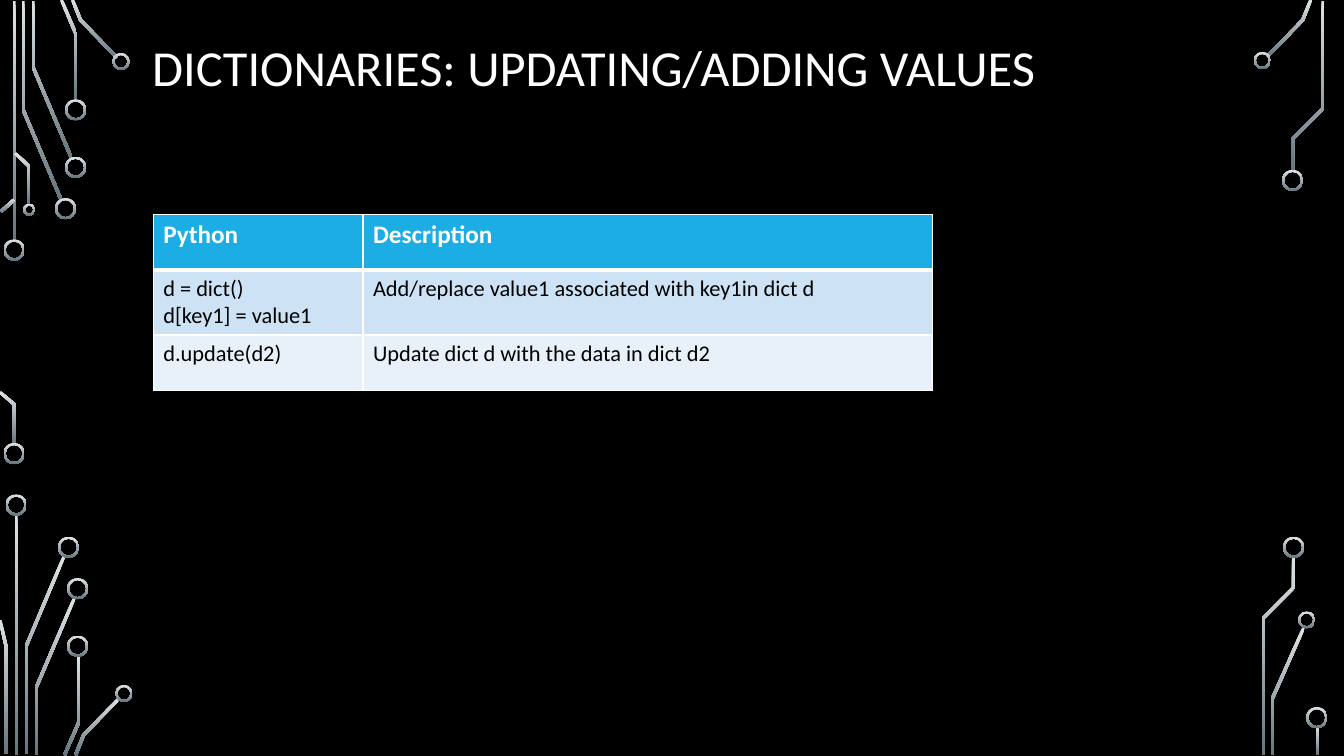
from math import hypot

from pptx import Presentation
from pptx.dml.color import RGBColor
from pptx.enum.shapes import MSO_SHAPE as Preset
from pptx.enum.text import MSO_ANCHOR as Anchor, PP_ALIGN as Align
from pptx.oxml import parse_xml
from pptx.oxml.ns import nsdecls
from pptx.util import Inches, Pt

HEADING = "DICTIONARIES: UPDATING/ADDING VALUES"
HEADING_BOX = (1.41, -0.11, 10.83, 1.62)

METHODS = [
    ("Python", "Description"),
    ("d = dict()\nd[key1] = value1", "Add/replace value1 associated with key1in dict d"),
    ("d.update(d2)", "Update dict d with the data in dict d2"),
]
METHODS_CORNER = (1.52, 2.13)
COLUMN_WIDTHS = (2.08, 5.65)
ROW_HEIGHTS = (0.55, 0.63, 0.55)

TRACE_WIDTH = 0.03
TRACES = [
    [(0.14, 0.01), (0.14, 2.4)],
    [(0.23, 0.01), (0.23, 1.09), (0.61, 1.99)],
    [(0.33, 0.01), (0.33, 0.67), (0.71, 1.57)],
    [(0.61, 0), (0.75, 0.33), (0.75, 1)],
    [(0.72, 0), (0.8, 0.2), (1.16, 0.57)],
    [(0.14, 1.98), (0.01, 2.1)],
    [(0, 3.89), (0.14, 4.01), (0.14, 4.41)],
    [(0.15, 1.52), (0.29, 1.65), (0.29, 2.03)],
    [(0.16, 5.1), (0.16, 7.49)],
    [(0.26, 7.48), (0.26, 6.41), (0.64, 5.51)],
    [(0.06, 7.48), (0.06, 6.41), (0, 6.15)],
    [(0.36, 7.49), (0.36, 6.82), (0.74, 5.93)],
    [(0.64, 7.49), (0.78, 7.17), (0.78, 6.5)],
    [(0.75, 7.49), (0.83, 7.29), (1.18, 6.93)],
    [(12.57, 0.56), (12.92, 0.2), (13, 0)],
    [(13.12, 0.01), (13.12, 1.08), (12.82, 1.38), (12.82, 1.69)],
    [(12.62, 7.49), (12.62, 6.93), (12.93, 6.23)],
    [(12.53, 7.49), (12.53, 6.13), (12.83, 5.83), (12.83, 5.52)],
    [(13.07, 7.21), (13.07, 7.49)],
]
RING_THICKNESS = 0.02
RINGS = {
    0.21: [
        (0.14, 2.48), (0.14, 4.5), (0.65, 2.07), (0.75, 1.66), (0.75, 1.09),
        (0.16, 5.01), (0.68, 5.43), (0.77, 5.84), (0.77, 6.41),
        (12.82, 1.79), (12.83, 5.43), (13.06, 7.12),
    ],
    0.17: [(1.2, 0.61), (1.23, 6.88), (12.52, 0.6), (12.96, 6.15)],
    0.12: [(0.29, 2.08)],
}

THEME = {
    "background": "000000",
    "trace": ("DFE3E5", "65757D"),
    "border": "FFFFFF",
    "rows": ("1CADE4", "CDE3F5", "E8F1FA"),
    "heading": {"name": "Calibri", "size": Pt(36), "bold": False, "color": "FFFFFF"},
    "header": {"name": "Calibri", "size": Pt(18), "bold": True, "color": "FFFFFF"},
    "body": {"name": "Calibri", "size": Pt(16), "bold": False, "color": "000000"},
}


def set_font(paragraph, style):
    for key, value in style.items():
        if key == "color":
            paragraph.font.color.rgb = RGBColor.from_string(value)
        else:
            setattr(paragraph.font, key, value)


def paint_circuit(part):
    part.shadow.inherit = False
    part.line.fill.background()
    part.fill.gradient()
    part.fill.gradient_angle = 270
    for stop, color in zip(part.fill.gradient_stops, THEME["trace"]):
        stop.color.rgb = RGBColor.from_string(color)


def trace_outline(points):
    normals = []
    for (x1, y1), (x2, y2) in zip(points, points[1:]):
        length = hypot(x2 - x1, y2 - y1)
        normals.append(((y1 - y2) / length, (x2 - x1) / length))
    near, far = [], []
    joints = zip(points, normals[:1] + normals, normals + normals[-1:])
    for (x, y), (ax, ay), (bx, by) in joints:
        reach = TRACE_WIDTH / 2 / (1 + ax * bx + ay * by)
        dx, dy = (ax + bx) * reach, (ay + by) * reach
        near.append((Inches(x + dx), Inches(y + dy)))
        far.append((Inches(x - dx), Inches(y - dy)))
    return near + far[::-1]


def add_circuit(slide):
    for points in TRACES:
        outline = trace_outline(points)
        builder = slide.shapes.build_freeform(*outline[0])
        builder.add_line_segments(outline[1:], close=True)
        paint_circuit(builder.convert_to_shape())
    for size, centers in RINGS.items():
        for x, y in centers:
            box = (x - size / 2, y - size / 2, size, size)
            ring = slide.shapes.add_shape(Preset.DONUT, *map(Inches, box))
            ring.adjustments[0] = RING_THICKNESS / size
            paint_circuit(ring)


def add_heading(slide):
    heading = slide.shapes.title
    for side, value in zip(("left", "top", "width", "height"), HEADING_BOX):
        setattr(heading, side, Inches(value))
    heading.text_frame.text = HEADING
    heading.text_frame.vertical_anchor = Anchor.MIDDLE
    paragraph = heading.text_frame.paragraphs[0]
    for key, value in {"alignment": Align.LEFT, "line_spacing": 0.9}.items():
        setattr(paragraph, key, value)
    set_font(paragraph, THEME["heading"])


def add_borders(cell, row):
    widths = {"L": 1, "R": 1, "T": 3 if row == 1 else 1, "B": 3 if row == 0 else 1}
    for index, (side, width) in enumerate(widths.items()):
        border = parse_xml(
            f'<a:ln{side} {nsdecls("a")} w="{Pt(width)}"><a:solidFill>'
            f'<a:srgbClr val="{THEME["border"]}"/></a:solidFill></a:ln{side}>'
        )
        cell._tc.get_or_add_tcPr().insert(index, border)


def add_methods(slide):
    box = (*METHODS_CORNER, sum(COLUMN_WIDTHS), sum(ROW_HEIGHTS))
    methods = slide.shapes.add_table(
        len(METHODS), len(COLUMN_WIDTHS), *map(Inches, box)
    ).table
    for column, width in zip(methods.columns, COLUMN_WIDTHS):
        column.width = Inches(width)
    for row, (entries, height) in enumerate(zip(METHODS, ROW_HEIGHTS)):
        methods.rows[row].height = Inches(height)
        for column, entry in enumerate(entries):
            cell = methods.cell(row, column)
            cell.text = entry
            cell.fill.solid()
            cell.fill.fore_color.rgb = RGBColor.from_string(THEME["rows"][row])
            add_borders(cell, row)
            for paragraph in cell.text_frame.paragraphs:
                set_font(paragraph, THEME["body" if row else "header"])


def main():
    deck = Presentation()
    deck.slide_width, deck.slide_height = Inches(13.33), Inches(7.5)
    slide = deck.slides.add_slide(deck.slide_layouts[5])
    slide.background.fill.solid()
    slide.background.fill.fore_color.rgb = RGBColor.from_string(THEME["background"])
    add_circuit(slide)
    add_heading(slide)
    add_methods(slide)
    deck.save("out.pptx")


if __name__ == "__main__":
    main()
